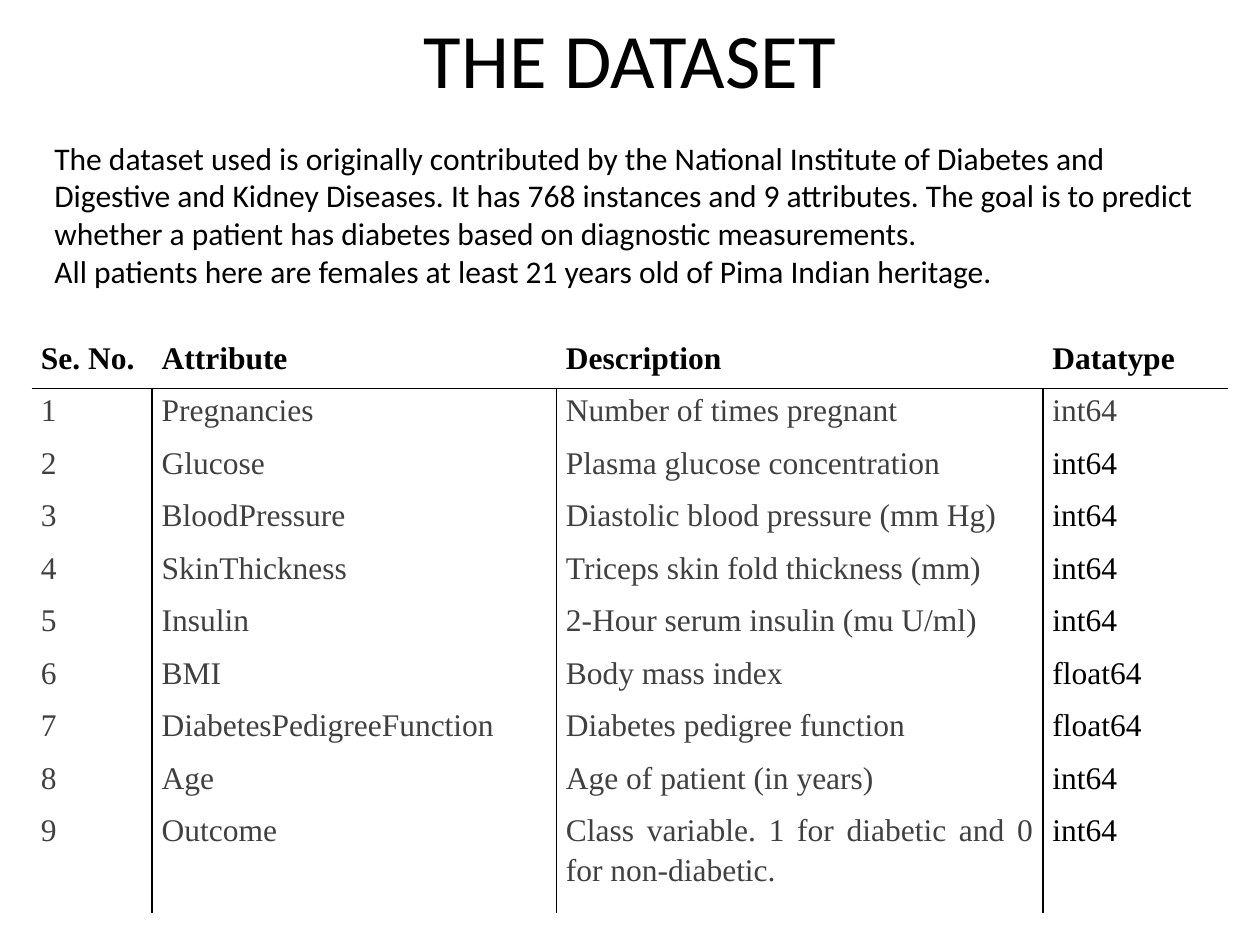
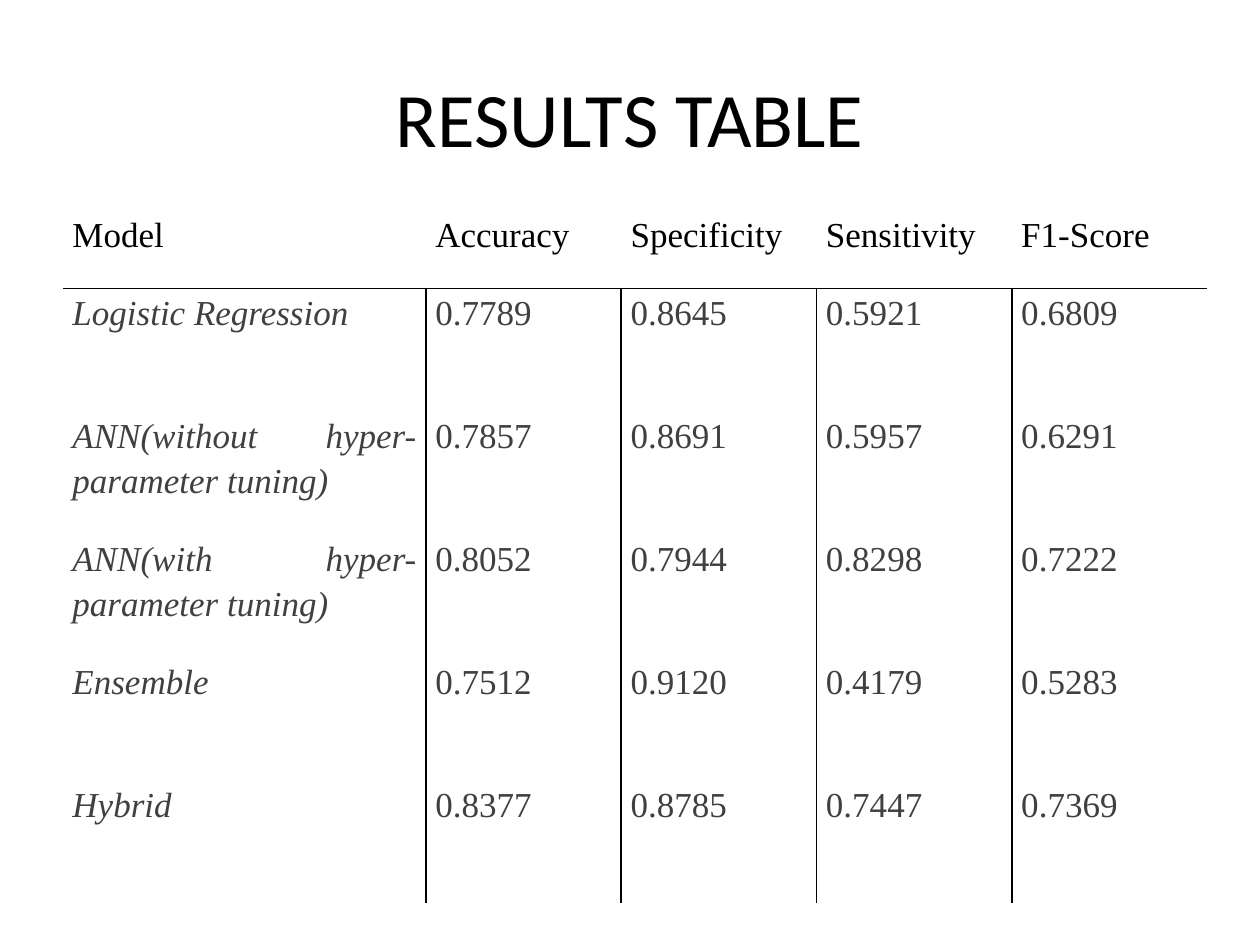
from dataclasses import dataclass

from lxml import etree
from pptx import Presentation
from pptx.dml.color import RGBColor
from pptx.enum.text import MSO_ANCHOR, PP_ALIGN
from pptx.oxml.ns import qn
from pptx.util import Pt

CENTER, JUSTIFY = PP_ALIGN.CENTER, PP_ALIGN.JUSTIFY
MIDDLE = MSO_ANCHOR.MIDDLE
BLANK_LAYOUT = 6


@dataclass(frozen=True)
class Theme:
    black: str = "000000"
    gray: str = "404040"
    text_font: str = "Calibri"
    table_font: str = "Times New Roman"
    title_size: int = 44
    intro_size: int = 18
    rule_width: float = 1
    cell_margin: float = 5.4
    line_spacing: float = 1.15


THEME = Theme()

INTRO = [
    "The dataset used is originally contributed by the National Institute of Diabetes and "
    "Digestive and Kidney Diseases. It has 768 instances and 9 attributes. The goal is to "
    "predict whether a patient has diabetes based on diagnostic measurements.",
    "All patients here are females at least 21 years old of Pima Indian heritage.",
]

ATTRIBUTES = [
    ("Pregnancies", "Number of times pregnant", "int64"),
    ("Glucose", "Plasma glucose concentration", "int64"),
    ("BloodPressure", "Diastolic blood pressure (mm Hg)", "int64"),
    ("SkinThickness", "Triceps skin fold thickness (mm)", "int64"),
    ("Insulin", "2-Hour serum insulin (mu U/ml)", "int64"),
    ("BMI", "Body mass index", "float64"),
    ("DiabetesPedigreeFunction", "Diabetes pedigree function", "float64"),
    ("Age", "Age of patient (in years)", "int64"),
    ("Outcome", "Class variable. 1 for diabetic and 0 for non-diabetic.", "int64"),
]
DATASET = {
    "header": ("Se. No.", "Attribute", "Description", "Datatype"),
    "rows": [(str(number), *row) for number, row in enumerate(ATTRIBUTES, 1)],
    "left": 18, "top": 192,
    "widths": [69, 231, 278, 106],
    "heights": [30] * len(ATTRIBUTES) + [60],
    "size": 18, "space_after": 0,
}

SCORES = [
    ("Logistic Regression", "0.7789", "0.8645", "0.5921", "0.6809"),
    ("ANN(without hyper-parameter tuning)", "0.7857", "0.8691", "0.5957", "0.6291"),
    ("ANN(with hyper-parameter tuning)", "0.8052", "0.7944", "0.8298", "0.7222"),
    ("Ensemble", "0.7512", "0.9120", "0.4179", "0.5283"),
    ("Hybrid", "0.8377", "0.8785", "0.7447", "0.7369"),
]
RESULTS = {
    "header": ("Model", "Accuracy", "Specificity", "Sensitivity", "F1-Score"),
    "rows": SCORES,
    "left": 36, "top": 120,
    "widths": [207.4] + [111.6] * 4,
    "heights": [45] + [70.2] * len(SCORES),
    "size": 20, "space_after": 8,
}


def dataset_style(row, column):
    """Bold header, gray body; datatypes after the first are black."""
    is_black = row == 0 or (column == 3 and row > 1)
    return {"bold": row == 0, "italic": False,
            "color": THEME.black if is_black else THEME.gray}


def results_style(row, column):
    """Plain black header, gray scores, italic model names."""
    return {"bold": False, "italic": row > 0 and column == 0,
            "color": THEME.black if row == 0 else THEME.gray}


def style_font(font, name, size, color, bold=False, italic=False):
    font.name, font.size = name, Pt(size)
    font.bold, font.italic = bold, italic
    font.color.rgb = RGBColor.from_string(color)


def add_text(slide, frame, lines, size, align=None, anchor=None):
    box = slide.shapes.add_textbox(*map(Pt, frame))
    text = box.text_frame
    text.word_wrap = True
    text.vertical_anchor = anchor
    text.text = "\n".join(lines)
    for para in text.paragraphs:
        para.alignment = align
        style_font(para.font, THEME.text_font, size, THEME.black)


def add_title(slide, title, top):
    add_text(slide, (36, top, 648, 90), [title], THEME.title_size, CENTER, MIDDLE)


def set_borders(cell, ruled_sides):
    """Rule the named sides of a cell and clear the others."""
    properties = cell._tc.get_or_add_tcPr()
    for position, side in enumerate("LRTB"):
        line = etree.Element(qn(f"a:ln{side}"), w=str(Pt(THEME.rule_width)))
        if side in ruled_sides:
            fill = etree.SubElement(line, qn("a:solidFill"))
            etree.SubElement(fill, qn("a:srgbClr"), val=THEME.black)
        else:
            etree.SubElement(line, qn("a:noFill"))
        properties.insert(position, line)


def ruled_sides(row, column, last_column):
    """A line under the header, and lines between the body columns."""
    if row == 0:
        return "B"
    sides = "T" if row == 1 else ""
    if column > 0:
        sides += "L"
    if column < last_column:
        sides += "R"
    return sides


def add_ruled_table(slide, content, cell_style):
    rows = [content["header"], *content["rows"]]
    widths, heights = content["widths"], content["heights"]
    frame = map(Pt, (content["left"], content["top"], sum(widths), sum(heights)))
    table = slide.shapes.add_table(len(rows), len(widths), *frame).table
    table.first_row = table.horz_banding = False
    for column, width in zip(table.columns, widths):
        column.width = Pt(width)
    for row, height in zip(table.rows, heights):
        row.height = Pt(height)

    for row, values in enumerate(rows):
        for column, value in enumerate(values):
            cell = table.cell(row, column)
            cell.fill.background()
            cell.margin_left = cell.margin_right = Pt(THEME.cell_margin)
            cell.margin_top = cell.margin_bottom = 0
            set_borders(cell, ruled_sides(row, column, len(widths) - 1))
            cell.text = value
            para = cell.text_frame.paragraphs[0]
            para.alignment = JUSTIFY
            para.line_spacing = THEME.line_spacing
            para.space_after = Pt(content["space_after"])
            style_font(para.font, THEME.table_font, content["size"],
                       **cell_style(row, column))


def main():
    deck = Presentation()
    deck.slide_width, deck.slide_height = Pt(720), Pt(540)
    layout = deck.slide_layouts[BLANK_LAYOUT]

    dataset_slide = deck.slides.add_slide(layout)
    add_title(dataset_slide, "THE DATASET", -12)
    add_ruled_table(dataset_slide, DATASET, dataset_style)
    add_text(dataset_slide, (24, 75.6, 684, 116.6), INTRO, THEME.intro_size)

    results_slide = deck.slides.add_slide(layout)
    add_title(results_slide, "RESULTS TABLE", 21.6)
    add_ruled_table(results_slide, RESULTS, results_style)

    deck.save("out.pptx")


if __name__ == "__main__":
    main()
